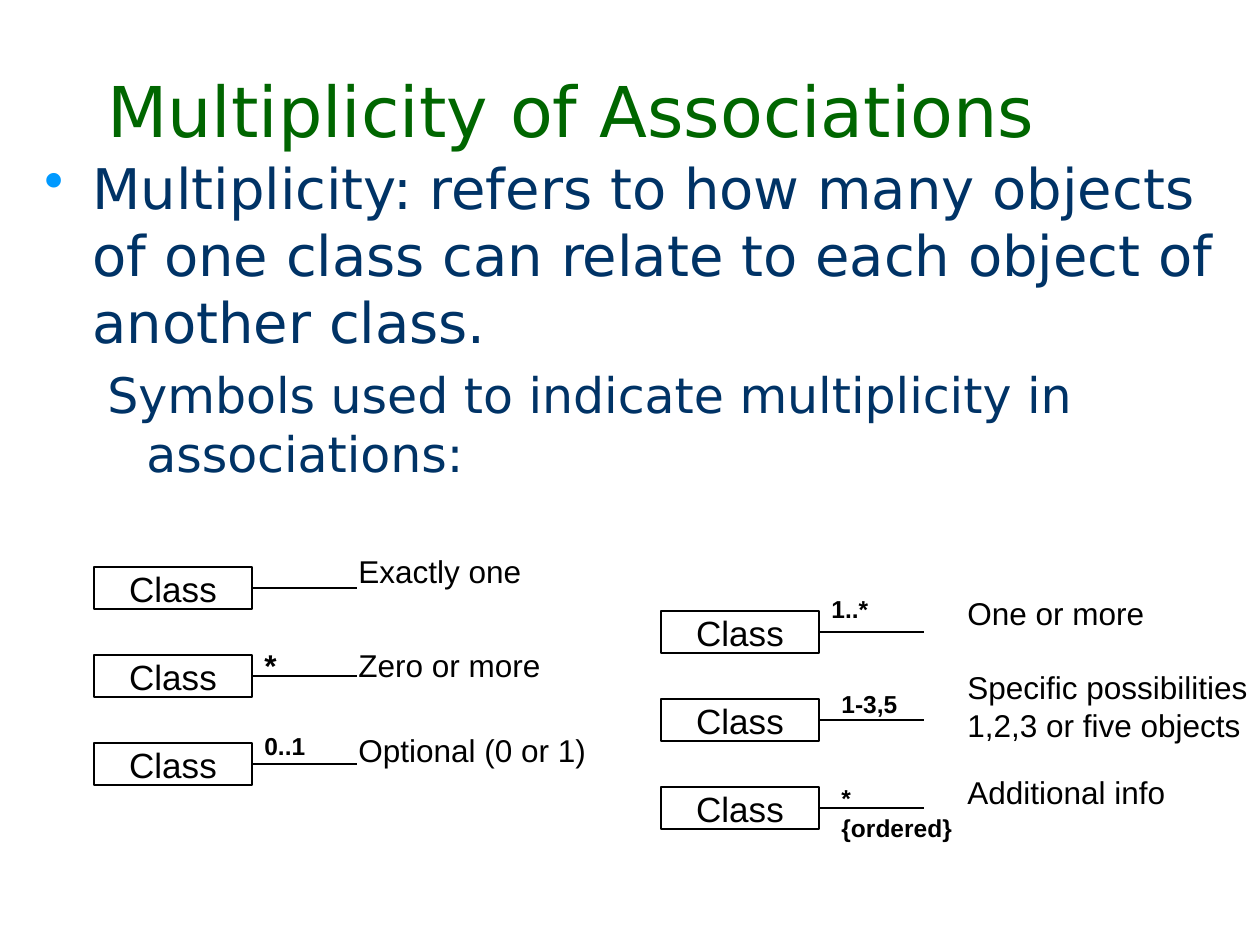
"""Build the slide on multiplicity of associations."""
from dataclasses import dataclass

from lxml import etree
from pptx import Presentation, util as u
from pptx.dml.color import RGBColor
from pptx.enum import shapes, text
from pptx.oxml.ns import qn

SCALE = 914400 / 126


@dataclass(frozen=True)
class Theme:
    """Hold the colours, fonts and type sizes."""
    title: str = "006600"
    body: str = "003366"
    bullet: str = "0099FF"
    ink: str = "000000"
    heading_font: str = "DejaVu Sans"
    label_font: str = "Arial"
    title_size: int = 40
    body_size: int = 32
    sub_size: int = 28
    class_size: int = 20
    label_size: int = 18
    small_size: int = 14
    line_width: float = 0.75


THEME = Theme()
BOX_WIDTH, BOX_HEIGHT, LINE_LENGTH, ROW_STEP = 158, 42, 105, 88


def px(*lengths):
    """Turn lengths in px into EMU."""
    return [u.Emu(round(length * SCALE)) for length in lengths]


def write(para, words, size=THEME.label_size, font=THEME.label_font,
          color=THEME.ink, bold=False):
    """Add one formatted span to a paragraph."""
    span = para.add_run()
    span.text = words
    span.font.size = u.Pt(size)
    span.font.name = font
    span.font.bold = bold
    span.font.color.rgb = RGBColor.from_string(color)


def add_text(page, place, *lines, wrap=True, anchor=text.MSO_ANCHOR.TOP, **style):
    """Add a text box with one paragraph for each line."""
    box = page.shapes.add_textbox(*px(*place))
    frame = box.text_frame
    frame.word_wrap = wrap
    frame.vertical_anchor = anchor
    for index, words in enumerate(lines):
        para = frame.add_paragraph() if index else frame.paragraphs[0]
        write(para, words, **style)
    return box


def set_indent(para, margin, hanging, before, bullet=None):
    """Set the hanging indent, space before and bullet of a paragraph."""
    para.space_before = u.Pt(before)
    props = para._p.get_or_add_pPr()
    left, first = px(margin, -hanging)
    props.set("marL", str(left))
    props.set("indent", str(first))
    if bullet:
        color = etree.SubElement(props, qn("a:buClr"))
        etree.SubElement(color, qn("a:srgbClr"), val=THEME.bullet)
        etree.SubElement(props, qn("a:buChar"), char=bullet)
    else:
        etree.SubElement(props, qn("a:buNone"))


def set_line(line):
    """Give an outline or connector the common stroke."""
    line.color.rgb = RGBColor.from_string(THEME.ink)
    line.width = u.Pt(THEME.line_width)


def add_body(page):
    """Add the definition and the lead-in below it."""
    style = dict(font=THEME.heading_font, color=THEME.body)
    box = add_text(
        page, (32, 147, 1197, 305),
        "Multiplicity: refers to how many objects of one class can relate "
        "to each object of another class.", size=THEME.body_size, **style)
    set_indent(box.text_frame.paragraphs[0], 48, 48, 6.4, bullet="•")
    para = box.text_frame.add_paragraph()
    para.level = 1
    write(para, "Symbols used to indicate multiplicity in associations:",
          size=THEME.sub_size, **style)
    set_indent(para, 102, 39, 5.6)


def add_class(page, left, top):
    """Add a class box grouped with its association line."""
    group = page.shapes.add_group_shape()
    box = group.shapes.add_shape(shapes.MSO_SHAPE.RECTANGLE,
                                 *px(left, top, BOX_WIDTH, BOX_HEIGHT))
    box.shadow.inherit = False
    box.fill.background()
    set_line(box.line)
    frame = box.text_frame
    frame.word_wrap = False
    frame.vertical_anchor = text.MSO_ANCHOR.MIDDLE
    para = frame.paragraphs[0]
    para.alignment = text.PP_ALIGN.CENTER
    write(para, "Class", size=THEME.class_size)

    start, middle = left + BOX_WIDTH, top + BOX_HEIGHT // 2
    line = group.shapes.add_connector(
        shapes.MSO_CONNECTOR.STRAIGHT,
        *px(start, middle, start + LINE_LENGTH, middle))
    line.begin_connect(box, 3)
    line.end_y = line.begin_y
    set_line(line.line)
    etree.SubElement(line._element.spPr, qn("a:effectLst"))


def main():
    """Build and save the deck."""
    deck = Presentation()
    deck.slide_width, deck.slide_height = px(1260, 945)
    page = deck.slides.add_slide(deck.slide_layouts[6])

    add_text(page, (95, 53, 1071, 105), "Multiplicity of Associations",
             anchor=text.MSO_ANCHOR.BOTTOM, size=THEME.title_size,
             font=THEME.heading_font, color=THEME.title)
    add_body(page)

    for left, top in ((94, 567), (661, 611)):
        for row in range(3):
            add_class(page, left, top + row * ROW_STEP)

    symbols = (
        ((252, 640, 34, 50), "*", THEME.label_size),
        ((252, 725, 126, 42), "0..1", THEME.small_size),
        ((819, 588, 84, 42), "1..*", THEME.small_size),
        ((829, 683, 105, 42), "1-3,5", THEME.small_size),
        ((829, 777, 147, 72), "* {ordered}", THEME.small_size),
    )
    for place, symbol, size in symbols:
        add_text(page, place, symbol, size=size, bold=True)

    meanings = (
        ((346, 546, 188, 50), "Exactly one"),
        ((346, 640, 208, 50), "Zero or more"),
        ((346, 725, 253, 50), "Optional (0 or 1)"),
        ((955, 588, 202, 50), "One or more"),
        ((955, 662, 305, 88), "Specific possibilities", "1,2,3 or five objects"),
        ((955, 767, 223, 50), "Additional info"),
    )
    for place, *lines in meanings:
        add_text(page, place, *lines, wrap=False)

    deck.save("out.pptx")


if __name__ == "__main__":
    main()
